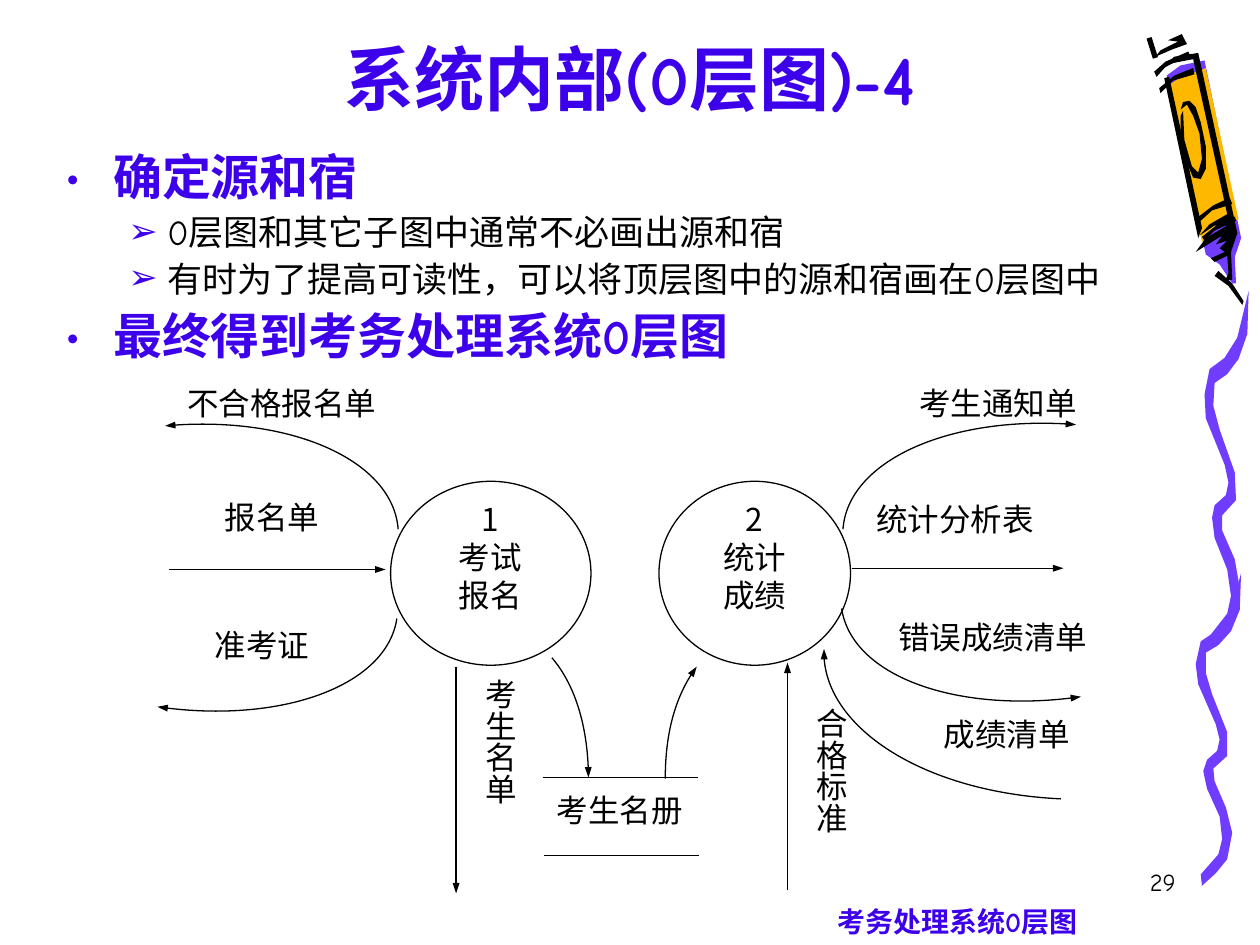
from dataclasses import dataclass
from lxml.etree import SubElement
from pptx import Presentation
from pptx.dml.color import RGBColor
from pptx.enum.shapes import MSO_CONNECTOR, MSO_SHAPE
from pptx.enum.text import MSO_ANCHOR, PP_ALIGN
from pptx.oxml.ns import qn
from pptx.util import Inches, Pt

COLOURS = {"ink": "000000", "accent": "3D00EA", "ribbon": "703DFF", "barrel": "FFB800", "paper": "FFFFFF"}
CJK = "Noto Sans CJK SC"
COMIC = "Comic Neue"
Point = tuple[float, float]


@dataclass
class Patch:
    colour: str
    outline: list[Point]


@dataclass
class Flow:
    points: list[Point]
    arrow: str = "tailEnd"


@dataclass
class Label:
    lines: list[str]
    box: tuple[float, float, float, float]
    spacing: float = 1.0
    vertical: bool = False


@dataclass
class Bullet:
    text: str
    level: int


RIBBONS = [
    Patch("ribbon", [(9.53, 6.94), (9.67, 6.78), (9.7, 6.66), (9.68, 6.48), (9.58, 6.26), (9.55, 6.12), (9.58, 6.03),
                     (9.66, 5.96), (9.68, 5.87), (9.65, 5.75), (9.51, 5.43), (9.49, 5.27), (9.53, 5.09), (9.65, 5.01),
                     (9.76, 4.87), (9.85, 4.55), (9.84, 4.84), (9.77, 5.01), (9.67, 5.12), (9.57, 5.18), (9.57, 5.34),
                     (9.62, 5.51), (9.74, 5.81), (9.74, 6), (9.63, 6.1), (9.64, 6.2), (9.73, 6.41), (9.78, 6.61),
                     (9.74, 6.82), (9.65, 6.93), (9.54, 7.03)]),
    Patch("ribbon", [(9.6, 5.05), (9.74, 4.87), (9.77, 4.73), (9.74, 4.52), (9.64, 4.27), (9.62, 4.11), (9.64, 4.01),
                     (9.73, 3.93), (9.75, 3.83), (9.72, 3.69), (9.57, 3.32), (9.56, 3.13), (9.6, 2.93), (9.72, 2.84),
                     (9.82, 2.68), (9.91, 2.31), (9.9, 2.65), (9.83, 2.85), (9.74, 2.97), (9.64, 3.04), (9.63, 3.22),
                     (9.68, 3.41), (9.8, 3.75), (9.81, 3.97), (9.7, 4.09), (9.7, 4.21), (9.8, 4.44), (9.84, 4.67),
                     (9.8, 4.91), (9.72, 5.04), (9.61, 5.15)]),
]
CRAYON = [
    Patch("paper", [(9.5, 0.44), (9.3, 0.47), (9.19, 0.57), (9.49, 1.97), (9.62, 2.07), (9.72, 2.2), (9.76, 2.19),
                    (9.75, 1.98), (9.79, 1.85)]),
    Patch("ribbon", [(9.26, 0.6), (9.57, 2.02), (9.68, 2.1), (9.78, 2.25), (9.81, 2.25), (9.8, 2.04), (9.85, 1.89),
                     (9.56, 0.48), (9.37, 0.52)]),
    Patch("barrel", [(9.54, 1.92), (9.68, 1.79), (9.83, 1.74), (9.57, 0.54), (9.36, 0.62), (9.27, 0.68)]),
    Patch("ink", [(9.64, 2.19), (9.75, 2.27), (9.86, 2.42), (9.87, 2.39), (9.78, 2.25), (9.67, 2.15)]),
    Patch("ink", [(9.17, 0.45), (9.31, 0.39), (9.42, 0.35), (9.38, 0.27), (9.27, 0.32), (9.35, 0.33), (9.21, 0.4)]),
    Patch("ink", [(9.37, 0.92), (9.37, 1.06), (9.41, 1.27), (9.47, 1.41), (9.53, 1.42), (9.57, 1.34), (9.57, 1.16),
                  (9.53, 0.97), (9.49, 0.85), (9.44, 0.8), (9.39, 0.81), (9.37, 0.87), (9.42, 0.83), (9.47, 0.92),
                  (9.52, 1.06), (9.54, 1.26), (9.51, 1.37), (9.46, 1.32), (9.4, 1.11), (9.39, 0.88)]),
    Patch("ink", [(9.24, 0.62), (9.51, 1.89), (9.54, 1.81), (9.28, 0.61)]),
    Patch("ink", [(9.49, 2), (9.57, 1.89), (9.74, 1.79), (9.64, 1.79), (9.52, 1.87), (9.6, 1.78), (9.74, 1.7),
                  (9.47, 0.47), (9.31, 0.5), (9.2, 0.56), (9.32, 0.45), (9.51, 0.42), (9.82, 1.85), (9.77, 2),
                  (9.78, 2.22), (9.72, 2.23), (9.75, 2.17), (9.74, 2.03), (9.64, 2.08), (9.61, 2.05), (9.72, 2),
                  (9.68, 1.97), (9.74, 1.91), (9.65, 1.94), (9.7, 1.87)]),
    Patch("ink", [(9.56, 1.91), (9.64, 1.83), (9.81, 1.75), (9.8, 1.72), (9.69, 1.76), (9.54, 1.88)]),
    Patch("ink", [(9.51, 1.77), (9.62, 1.67), (9.78, 1.62), (9.76, 1.57), (9.63, 1.63), (9.5, 1.73)]),
    Patch("ink", [(9.21, 0.74), (9.31, 0.64), (9.48, 0.59), (9.47, 0.54), (9.32, 0.6), (9.2, 0.7)]),
    Patch("ink", [(9.18, 0.61), (9.26, 0.52), (9.45, 0.45), (9.43, 0.41), (9.25, 0.49), (9.16, 0.57)]),
]
PROCESSES = [(3.1, 3.82, 1.59, 1.46), (5.23, 3.82, 1.52, 1.46)]
STRAIGHT_FLOWS = [
    Flow([(4.31, 6.17), (5.54, 6.17)], ""),
    Flow([(4.32, 6.79), (5.55, 6.79)], ""),
    Flow([(1.34, 4.52), (3.06, 4.52)]),
    Flow([(3.62, 5.29), (3.62, 7.09)]),
    Flow([(6.76, 4.51), (8.44, 4.51)]),
    Flow([(6.25, 5.26), (6.25, 7.06)], "headEnd"),
]
CURVED_FLOWS = [
    Flow([(4.38, 5.22), (4.56, 5.43), (4.67, 5.79), (4.67, 6.17)]),
    Flow([(5.53, 5.29), (5.37, 5.5), (5.28, 5.83), (5.28, 6.18)], "headEnd"),
    Flow([(3.16, 4.2), (3.12, 3.66), (2.29, 3.29), (1.31, 3.38)]),
    Flow([(3.15, 4.91), (3.07, 5.44), (2.21, 5.75), (1.25, 5.61)]),
    Flow([(6.69, 4.2), (6.73, 3.66), (7.56, 3.29), (8.54, 3.37)]),
    Flow([(6.68, 4.83), (6.76, 5.36), (7.61, 5.67), (8.58, 5.53)]),
    Flow([(6.54, 5.15), (6.51, 5.75), (7.35, 6.29), (8.42, 6.34)], "headEnd"),
]
LABELS = [
    Label(["考生名册"], (4.29, 6.23, 1.26, 0.77)),
    Label(["1", "考试", "报名"], (2.98, 3.92, 1.82, 1.34)),
    Label(["报名单"], (1.54, 3.9, 1.24, 0.8)),
    Label(["考生名单"], (3.38, 5.29, 0.79, 1.73), vertical=True),
    Label(["不合格报名单"], (1.17, 3, 2.13, 0.8)),
    Label(["准考证"], (1.46, 4.92, 1.24, 0.8)),
    Label(["2", "统计", "成绩"], (5.12, 3.92, 1.74, 1.34)),
    Label(["统计分析表"], (6.78, 3.92, 1.6, 0.8)),
    Label(["合格标准"], (6.01, 5.52, 0.79, 1.73), vertical=True),
    Label(["考生通知单"], (7.12, 3, 1.6, 0.8)),
    Label(["错误成绩清单"], (6.92, 4.95, 1.92, 0.67), spacing=0.64),
    Label(["成绩清单"], (7.25, 5.72, 1.48, 0.67), spacing=0.64),
]
BULLETS = [
    Bullet("确定源和宿", 0),
    Bullet("0层图和其它子图中通常不必画出源和宿", 1),
    Bullet("有时为了提高可读性，可以将顶层图中的源和宿画在0层图中", 1),
    Bullet("最终得到考务处理系统0层图", 0),
]


def rgb(name: str) -> RGBColor:
    return RGBColor.from_string(COLOURS[name])


def add_frame(slide, box: tuple[float, float, float, float]):
    frame = slide.shapes.add_textbox(*map(Inches, box)).text_frame
    frame.word_wrap = True
    return frame


def add_run(paragraph, text: str, size: float, face: str, colour: str = "ink", bold: bool = False) -> None:
    run = paragraph.add_run()
    run.text = text
    run.font.size, run.font.bold, run.font.name = Pt(size), bold, face
    run.font.color.rgb = rgb(colour)
    SubElement(run.font._element, qn("a:ea"), typeface=CJK)


def style_line(shape, width: float = 0.75, arrow: str = "") -> None:
    shape.line.color.rgb = rgb("ink")
    shape.line.width = Pt(width)
    if arrow:
        SubElement(shape.line._get_or_add_ln(), qn(f"a:{arrow}"), type="triangle", w="sm", len="med")


def add_outline(slide, points: list[Point], close: bool):
    start, *rest = [(Inches(x), Inches(y)) for x, y in points]
    builder = slide.shapes.build_freeform(*start)
    builder.add_line_segments(rest, close=close)
    shape = builder.convert_to_shape()
    shape.shadow.inherit = False
    return shape


def add_patch(slide, patch: Patch) -> None:
    shape = add_outline(slide, patch.outline, True)
    shape.fill.solid()
    shape.fill.fore_color.rgb = rgb(patch.colour)
    shape.line.fill.background()


def add_straight(slide, flow: Flow, width: float = 0.75) -> None:
    ends = [Inches(value) for point in flow.points for value in point]
    connector = slide.shapes.add_connector(MSO_CONNECTOR.STRAIGHT, *ends)
    style_line(connector, width, flow.arrow)
    SubElement(connector._element.spPr, qn("a:effectLst"))


def add_curve(slide, flow: Flow) -> None:
    shape = add_outline(slide, flow.points, False)
    shape.fill.background()
    style_line(shape, arrow=flow.arrow)
    outline = next(shape._element.iter(qn("a:path")))
    segments = outline.findall(qn("a:lnTo"))
    bezier = SubElement(outline, qn("a:cubicBezTo"))
    for segment in segments:
        bezier.append(segment[0])
        outline.remove(segment)


def add_process(slide, box: tuple[float, float, float, float]) -> None:
    circle = slide.shapes.add_shape(MSO_SHAPE.OVAL, *map(Inches, box))
    circle.shadow.inherit = False
    circle.fill.background()
    style_line(circle)


def add_label(slide, label: Label) -> None:
    frame = add_frame(slide, label.box)
    if label.vertical:
        frame._txBody.bodyPr.set("vert", "eaVert")
        frame.margin_left = frame.margin_right = Inches(0.05)
        frame.margin_top = frame.margin_bottom = Inches(0.1)
    for index, line in enumerate(label.lines):
        paragraph = frame.add_paragraph() if index else frame.paragraphs[0]
        paragraph.alignment = PP_ALIGN.CENTER
        paragraph.line_spacing = label.spacing
        add_run(paragraph, line, 18, CJK)


def add_bullets(slide) -> None:
    frame = add_frame(slide, (0.42, 1.17, 8.67, 2))
    for index, bullet in enumerate(BULLETS):
        paragraph = frame.add_paragraph() if index else frame.paragraphs[0]
        top = bullet.level == 0
        paragraph.level = bullet.level
        paragraph.line_spacing = 0.9
        paragraph.space_before = Pt((7 if top else 5) if index else 0)
        properties = paragraph._p.get_or_add_pPr()
        properties.set("marL", str(Inches(0.38 if top else 0.81)))
        properties.set("indent", str(Inches(-0.38 if top else -0.31)))
        SubElement(SubElement(properties, qn("a:buClr")), qn("a:srgbClr"), val=COLOURS["accent"])
        SubElement(properties, qn("a:buFont"), typeface=COMIC)
        SubElement(properties, qn("a:buChar"), char="•" if top else "➢")
        add_run(paragraph, bullet.text, 28 if top else 20, COMIC, "accent" if top else "ink", top)


def main() -> None:
    deck = Presentation()
    deck.slide_width, deck.slide_height = Inches(10), Inches(7.5)
    slide = deck.slides.add_slide(deck.slide_layouts[6])
    for patch in RIBBONS + CRAYON:
        add_patch(slide, patch)
    add_straight(slide, Flow([(9.12, 0.3), (9.17, 0.46)], ""), 3)

    page_number = add_frame(slide, (7.35, 6.83, 2.08, 0.5)).paragraphs[0]
    page_number.alignment = PP_ALIGN.RIGHT
    add_run(page_number, "29", 14, COMIC)
    title = add_frame(slide, (0.5, 0.17, 9, 0.83))
    title.vertical_anchor = MSO_ANCHOR.BOTTOM
    title.paragraphs[0].alignment = PP_ALIGN.CENTER
    add_run(title.paragraphs[0], "系统内部(0层图)-4", 40, COMIC, "accent", True)
    add_bullets(slide)

    for process in PROCESSES:
        add_process(slide, process)
    for flow in STRAIGHT_FLOWS:
        add_straight(slide, flow)
    for flow in CURVED_FLOWS:
        add_curve(slide, flow)
    for label in LABELS:
        add_label(slide, label)
    caption = add_frame(slide, (6.55, 7.13, 2.4, 0.37))
    add_run(caption.paragraphs[0], "考务处理系统0层图", 16, COMIC, "accent", True)
    deck.save("out.pptx")


if __name__ == "__main__":
    main()
